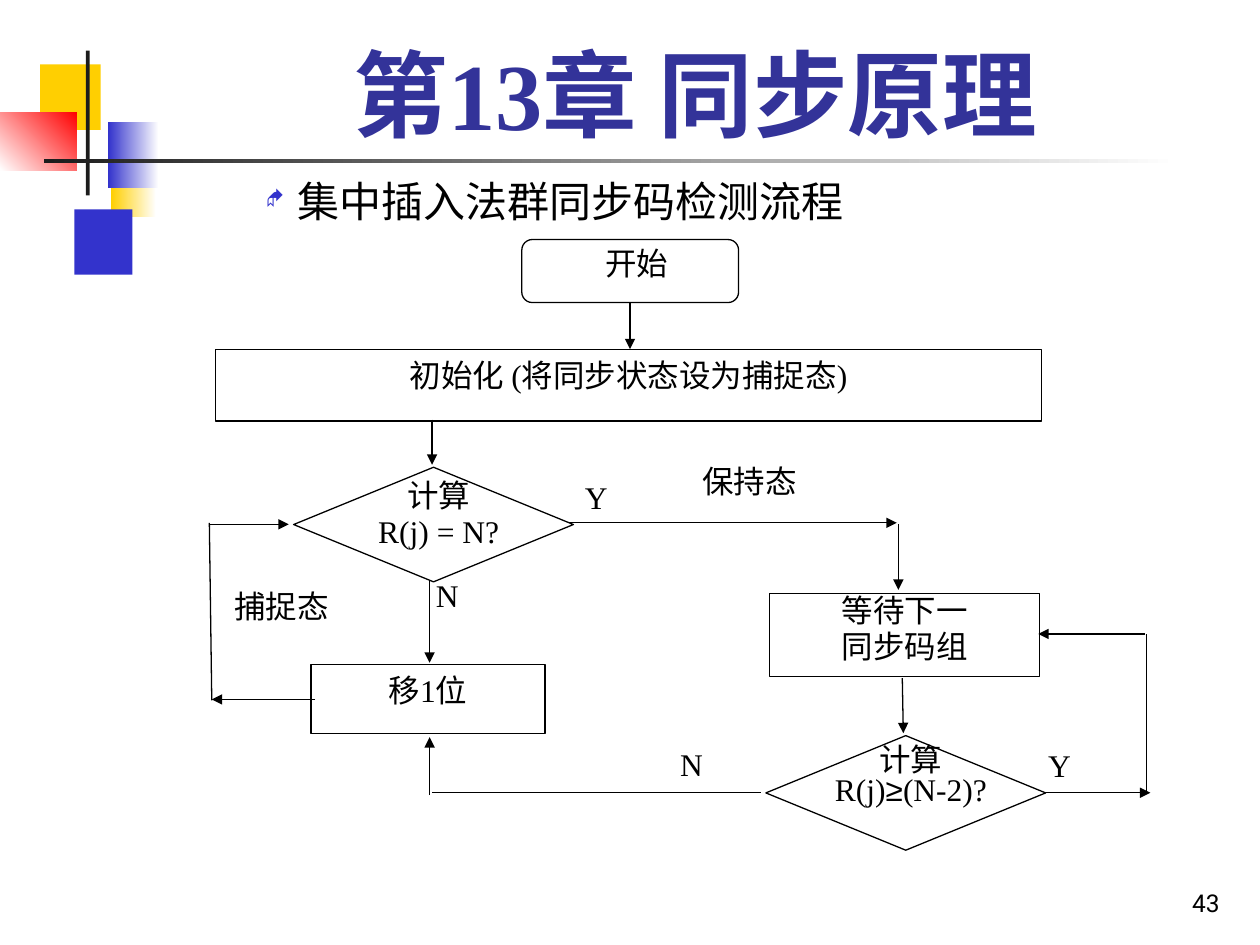
from dataclasses import dataclass

from lxml.etree import SubElement
from pptx import Presentation
from pptx.dml.color import RGBColor
from pptx.enum.shapes import MSO_CONNECTOR, MSO_SHAPE as SHAPE
from pptx.enum.text import MSO_ANCHOR as ANCHOR, MSO_AUTO_SIZE, PP_ALIGN as ALIGN
from pptx.oxml.ns import qn
from pptx.util import Cm, Pt


@dataclass(frozen=True)
class Theme:
    """Colours, fonts and type sizes of the slide."""
    ink: str = "000000"
    paper: str = "FFFFFF"
    title: str = "333399"
    blue: str = "3333CC"
    yellow: str = "FFCF01"
    red: str = "FF0000"
    dark: str = "1C1C1C"
    serif: str = "Times New Roman"
    sans: str = "Arial"
    number: str = "Roboto"
    title_size: int = 54
    body_size: int = 24
    flow_size: int = 18
    number_size: int = 14
    line_width: float = 0.75


T = Theme()
INSET = (0.25, 0.13)
TIGHT = (0, 0)


def set_all(obj, values):
    """Set every attribute named in a dict."""
    for name, value in values.items():
        setattr(obj, name, value)


def place(sp, box):
    """Move and size a shape by a box in centimetres."""
    set_all(sp, dict(zip(("left", "top", "width", "height"), map(Cm, box))))


def offset(box, part):
    """Shift a part by the origin of its region."""
    return (box[0] + part[0], box[1] + part[1], *part[2:])


def write(sp, paragraphs, size=T.flow_size, font=T.serif, color=T.ink, bold=False,
          align=ALIGN.CENTER, anchor=ANCHOR.TOP, inset=INSET, spacing=None):
    """Write paragraphs, each a string or a list of (text, font) runs."""
    tf = sp.text_frame
    x, y = map(Cm, inset)
    set_all(tf, dict(word_wrap=True, auto_size=MSO_AUTO_SIZE.NONE, vertical_anchor=anchor,
                     margin_left=x, margin_right=x, margin_top=y, margin_bottom=y))
    for i, runs in enumerate(paragraphs):
        p = tf.add_paragraph() if i else tf.paragraphs[0]
        set_all(p, dict(alignment=align, line_spacing=spacing))
        for text, face in [(runs, font)] if isinstance(runs, str) else runs:
            r = p.add_run()
            r.text = text
            set_all(r.font, dict(name=face, size=Pt(size), bold=bold))
            r.font.color.rgb = RGBColor.from_string(color)
    return tf


def add_text(s, box, paragraphs, **fmt):
    """Add a text box."""
    return write(s.shapes.add_textbox(*map(Cm, box)), paragraphs, **fmt)


def add_node(s, kind, box):
    """Add a white flowchart outline."""
    sp = s.shapes.add_shape(kind, *map(Cm, box))
    sp.shadow.inherit = False
    sp.fill.solid()
    sp.fill.fore_color.rgb = RGBColor.from_string(T.paper)
    sp.line.color.rgb = RGBColor.from_string(T.ink)
    sp.line.width = Pt(T.line_width)
    return sp


def add_line(s, box, ends, arrow):
    """Add a line whose arrowhead, if any, is at its end."""
    x1, y1, x2, y2 = ends
    points = (*offset(box, (x1, y1)), *offset(box, (x2, y2)))
    c = s.shapes.add_connector(MSO_CONNECTOR.STRAIGHT, *map(Cm, points))
    c.line.color.rgb = RGBColor.from_string(T.ink)
    c.line.width = Pt(T.line_width)
    if arrow:
        SubElement(c.line._get_or_add_ln(), qn("a:tailEnd"), type="triangle")
    SubElement(c._element.spPr, qn("a:effectLst"))


def add_ornament(s, box):
    """Draw the coloured squares and crossing bars."""
    parts = [
        ((2.24, 2.03, 0.91, 1.32), (T.paper, T.yellow), 180),
        ((1.5, 3.2, 1.17, 1.32), (T.blue,), 0),
        ((0.81, 0.28, 1.22, 1.32), (T.yellow,), 0),
        ((2.18, 1.45, 1.02, 1.32), (T.paper, T.blue), 180),
        ((0, 1.24, 1.55, 1.17), (T.red, T.paper), 225),
        ((1.73, 0, 0.08, 2.92), (T.dark,), 0),
        ((0.89, 2.18, 22.86, 0.08), (T.paper, T.dark), 180),
    ]
    for part, colors, angle in parts:
        sp = s.shapes.add_shape(SHAPE.RECTANGLE, *map(Cm, offset(box, part)))
        sp.shadow.inherit = False
        sp.line.fill.background()
        if len(colors) == 1:
            sp.fill.solid()
            sp.fill.fore_color.rgb = RGBColor.from_string(colors[0])
            continue
        sp.fill.gradient()
        sp.fill.gradient_angle = angle
        for stop, color, position in zip(sp.fill.gradient_stops, colors, (0, 1)):
            stop.color.rgb = RGBColor.from_string(color)
            stop.position = position


def add_title(s, box):
    """Place and format the title placeholder."""
    place(s.shapes.title, box)
    write(s.shapes.title, ["第13章 同步原理"], size=T.title_size, color=T.title,
          bold=True, anchor=ANCHOR.BOTTOM)


def add_topic(s, box):
    """Add the bulleted topic line."""
    tf = add_text(s, box, ["集中插入法群同步码检测流程"], size=T.body_size, align=ALIGN.LEFT)
    pPr = tf.paragraphs[0]._p.get_or_add_pPr()
    pPr.set("marL", str(Cm(3.18)))
    pPr.set("indent", str(-Cm(0.64)))
    SubElement(SubElement(pPr, qn("a:buClr")), qn("a:srgbClr"), val=T.blue)
    SubElement(pPr, qn("a:buSzPct"), val="50000")
    SubElement(pPr, qn("a:buFont"), typeface="Wingdings")
    SubElement(pPr, qn("a:buChar"), char="◆")


def add_decision(s, box, paragraphs, spacing):
    """Add a diamond with its question on top."""
    add_node(s, SHAPE.FLOWCHART_DECISION, (*box, 5.64, 2.31))
    add_text(s, offset(box, (0.7, 0.23, 4.45, 1.75)), paragraphs, inset=TIGHT, spacing=spacing)


def add_flowchart(s, box):
    """Draw the detection flow: steps, lines, labels and decisions."""
    steps = [
        ((0.34, 2.24, 16.66, 1.45), ["初始化 (将同步状态设为捕捉态)"], {}),
        ((2.27, 8.59, 4.72, 1.4), ["移1位"], {}),
        ((11.52, 7.16, 5.44, 1.68), ["等待下一", "同步码组"], dict(inset=TIGHT, spacing=0.96)),
    ]
    for part, paragraphs, fmt in steps:
        write(add_node(s, SHAPE.RECTANGLE, offset(box, part)), paragraphs, **fmt)
    add_node(s, SHAPE.ROUNDED_RECTANGLE, offset(box, (6.52, 0.03, 4.37, 1.27)))

    arrows = [
        (8.7, 1.3, 8.7, 2.24), (4.71, 3.66, 4.71, 4.57), (4.66, 6.88, 4.66, 8.56),
        (7.48, 5.74, 14.08, 5.74), (14.11, 5.77, 14.11, 7.09), (14.19, 8.87, 14.21, 9.98),
        (2.35, 9.3, 0.27, 9.3), (0.24, 5.77, 1.82, 5.77), (4.66, 11.23, 4.66, 10.06),
        (17.06, 11.18, 19.19, 11.18), (19.09, 7.98, 16.93, 7.98),
    ]
    plain = [(0.27, 9.32, 0.22, 5.74), (11.34, 11.18, 4.71, 11.18), (19.11, 11.18, 19.11, 7.98)]
    for ends in arrows + plain:
        add_line(s, box, ends, ends in arrows)

    left, tight = dict(align=ALIGN.LEFT), dict(align=ALIGN.LEFT, inset=TIGHT)
    labels = [
        ("开始", (7.33, -0.02, 3.02, 1.3), {}),
        ("保持态", (9.39, 4.39, 3.43, 1.5), {}),
        ("捕捉态", (-0.04, 6.91, 3.43, 1.5), {}),
        ("N", (9.46, 10.08, 2.11, 1.35), left),
        ("Y", (16.88, 10.11, 1.73, 1.27), left),
        ("N", (4.79, 6.81, 1.47, 1.04), tight),
        ("Y", (7.79, 4.83, 1.47, 1.04), tight),
    ]
    for text, part, fmt in labels:
        add_text(s, offset(box, part), [text], **fmt)

    threshold = [("R(j)", T.serif), ("≥", T.sans), ("(N-2)?", T.serif)]
    add_decision(s, offset(box, (11.44, 10.03)), ["计算", threshold], 0.8)
    add_decision(s, offset(box, (1.92, 4.62)), ["计算", "R(j) = N?"], 0.96)


def add_page_number(s, box):
    """Add the page number."""
    add_text(s, box, ["43"], size=T.number_size, font=T.number,
             align=ALIGN.RIGHT, anchor=ANCHOR.BOTTOM)


def main():
    """Build the slide and save it."""
    prs = Presentation()
    set_all(prs, dict(slide_width=Cm(25.4), slide_height=Cm(19.05)))
    s = prs.slides.add_slide(prs.slide_layouts[5])
    add_ornament(s, (0, 1.02))
    add_title(s, (3.2, 0.58, 21.64, 2.57))
    add_topic(s, (2.57, 3.4, 22.83, 15.65))
    add_flowchart(s, (4, 4.8))
    add_page_number(s, (19.56, 17.35, 5.28, 1.27))
    prs.save("out.pptx")


if __name__ == "__main__":
    main()
